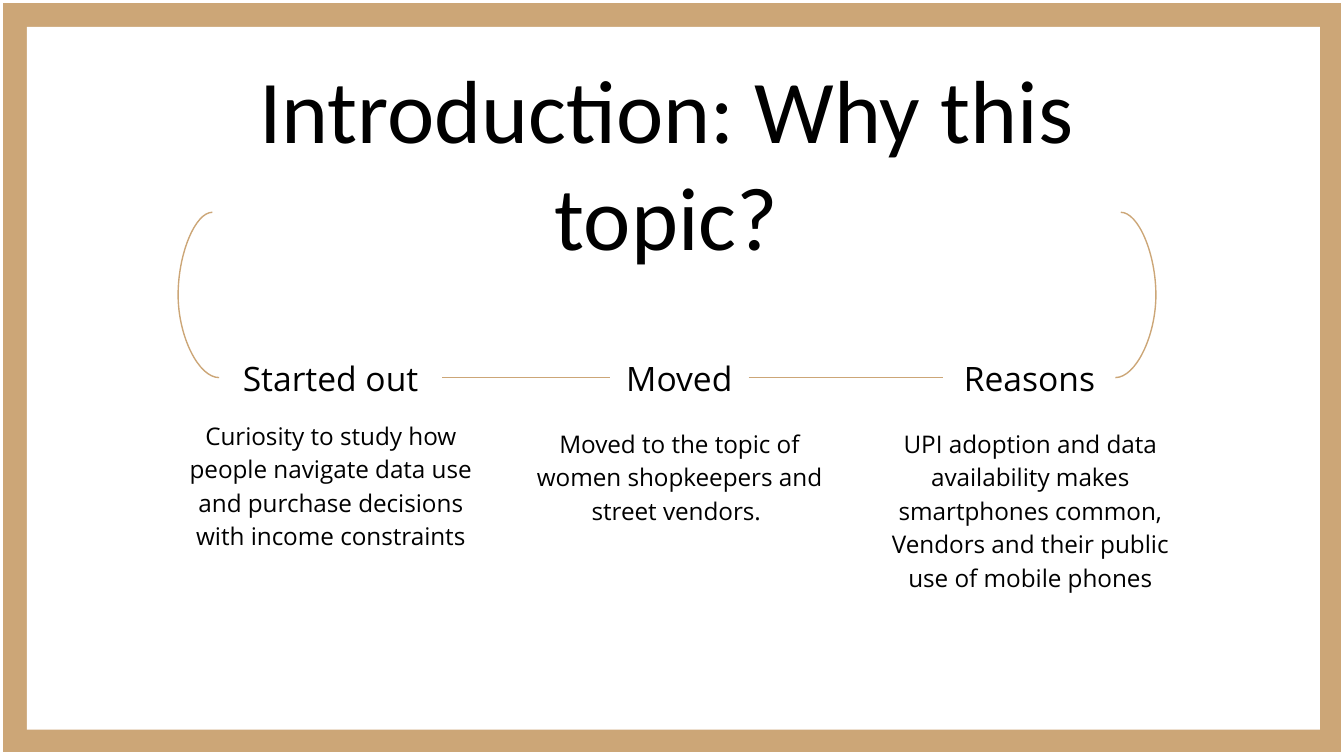
from dataclasses import dataclass

from lxml.etree import SubElement
from pptx import Presentation
from pptx.dml.color import RGBColor
from pptx.enum.shapes import MSO_CONNECTOR, MSO_SHAPE
from pptx.enum.text import MSO_ANCHOR, PP_ALIGN
from pptx.oxml.ns import qn
from pptx.util import Inches, Pt

TAN, WHITE, BLACK = "CCA677", "FFFFFF", "000000"


@dataclass
class Box:
    left: float
    top: float
    width: float
    height: float

    def emu(self):
        return [Inches(v) for v in (self.left, self.top, self.width, self.height)]


@dataclass
class Step:
    heading: str
    heading_box: Box
    body: str
    body_box: Box


@dataclass
class Arc:
    start: tuple[float, float]
    end: tuple[float, float]
    bend: float


STEPS = [
    Step("Started out", Box(1.63, 2.56, 1.66, 0.5),
         "Curiosity to study how people navigate data use and purchase "
         "decisions with income constraints", Box(1.2, 3, 2.52, 1.25)),
    Step("Moved", Box(4.54, 2.56, 1.03, 0.5),
         "Moved to the topic of women shopkeepers and street vendors. ",
         Box(3.89, 3.06, 2.33, 1)),
    Step("Reasons", Box(7.02, 2.56, 1.28, 0.5),
         "UPI adoption and data availability makes smartphones common, "
         "Vendors and their public use of mobile phones",
         Box(6.53, 3.06, 2.27, 1.52)),
]
ARCS = [
    Arc((1.58, 1.58), (1.63, 2.81), -5.1),
    Arc((8.34, 1.58), (8.3, 2.81), -6.5),
]


def color(value: str) -> RGBColor:
    return RGBColor.from_string(value)


def add_panel(s, box: Box, fill: str, line: str | None = None):
    sp = s.shapes.add_shape(MSO_SHAPE.RECTANGLE, *box.emu())
    sp.shadow.inherit = False
    sp.fill.solid()
    sp.fill.fore_color.rgb = color(fill)
    if line:
        sp.line.color.rgb = color(line)
        sp.line.width = Pt(1.5)
    else:
        sp.line.fill.background()


def add_text(s, text: str, box: Box, *, size: float, font: str = "Open Sans",
             anchor=MSO_ANCHOR.TOP, spacing: float = 1.0, after: float = 0):
    sp = s.shapes.add_textbox(*box.emu())
    tf = sp.text_frame
    tf.word_wrap = True
    tf.vertical_anchor = anchor
    tf.margin_left = tf.margin_right = Inches(0.1)
    tf.margin_top = tf.margin_bottom = Inches(0.1)
    p = tf.paragraphs[0]
    p.alignment = PP_ALIGN.CENTER
    p.line_spacing = spacing
    p.space_after = Pt(after)
    r = p.add_run()
    r.text = text
    r.font.name = font
    r.font.size = Pt(size)
    r.font.color.rgb = color(BLACK)
    return sp


def add_curve(s, start: tuple[float, float], end: tuple[float, float],
              bend: float = 0.5):
    points = [Inches(v) for v in (*start, *end)]
    c = s.shapes.add_connector(MSO_CONNECTOR.CURVE, *points)
    c.line.color.rgb = color(TAN)
    c.line.width = Pt(0.75)
    pr = c._element.spPr
    SubElement(pr, qn("a:effectLst"))
    guides = pr.find(qn("a:prstGeom")).find(qn("a:avLst"))
    SubElement(guides, qn("a:gd"), name="adj1", fmla=f"val {round(bend * 100000)}")
    return c


def main():
    prs = Presentation()
    prs.slide_width = Inches(10)
    prs.slide_height = Inches(10) * 9 // 16
    s = prs.slides.add_slide(prs.slide_layouts[6])

    add_panel(s, Box(0.01, 0.01, 9.98, 5.6), TAN, WHITE)
    add_panel(s, Box(0.2, 0.2, 9.62, 5.23), WHITE)
    add_text(s, "Introduction: Why this topic?", Box(1.58, 1.05, 6.76, 1.05),
             size=48, font="Calibri", anchor=MSO_ANCHOR.BOTTOM)

    headings = []
    for step in STEPS:
        add_text(s, step.body, step.body_box, size=13, spacing=1.15, after=16)
        headings.append(add_text(s, step.heading, step.heading_box, size=18))

    for left, right in zip(headings, headings[1:]):
        c = add_curve(s, (0, 0), (1, 0))
        c.begin_connect(left, 3)
        c.end_connect(right, 1)
    for arc in ARCS:
        add_curve(s, arc.start, arc.end, arc.bend)

    prs.save("out.pptx")


if __name__ == "__main__":
    main()
